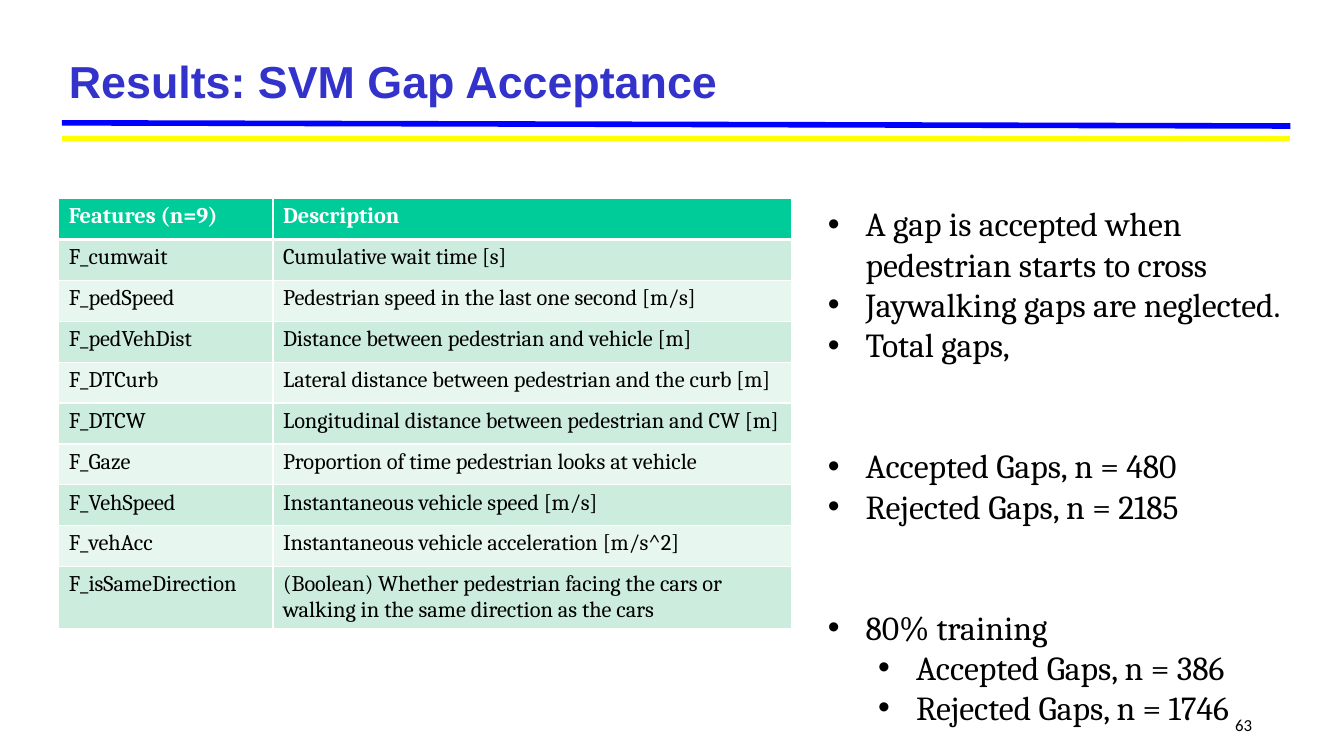
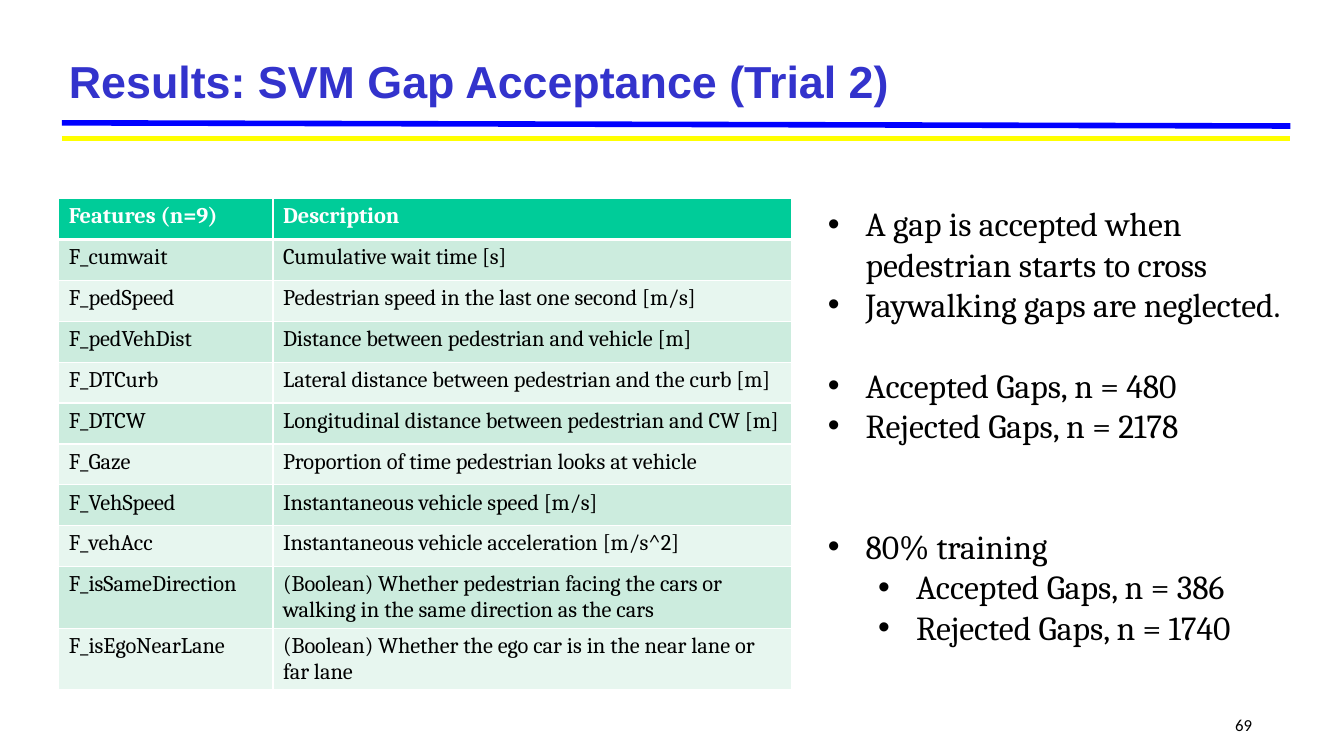
from lxml import etree
from pptx import Presentation
from pptx.dml.color import RGBColor
from pptx.enum.shapes import MSO_CONNECTOR
from pptx.enum.text import MSO_ANCHOR, MSO_AUTO_SIZE, PP_ALIGN
from pptx.oxml.ns import qn
from pptx.util import Emu, Pt

STRAIGHT = MSO_CONNECTOR.STRAIGHT
MIDDLE = MSO_ANCHOR.MIDDLE
NO_FIT, GROW = MSO_AUTO_SIZE.NONE, MSO_AUTO_SIZE.SHAPE_TO_FIT_TEXT
LEFT, RIGHT = PP_ALIGN.LEFT, PP_ALIGN.RIGHT

BLACK = RGBColor(0x00, 0x00, 0x00)
WHITE = RGBColor(0xFF, 0xFF, 0xFF)
TITLE_BLUE = RGBColor(0x33, 0x33, 0xCC)
RULE_BLUE = RGBColor(0x00, 0x00, 0xFF)
RULE_YELLOW = RGBColor(0xFF, 0xFF, 0x00)
HEADER_GREEN = RGBColor(0x00, 0xCC, 0x99)
BAND_GREENS = (RGBColor(0xCC, 0xEC, 0xDE), RGBColor(0xE7, 0xF6, 0xEF))

HEADER = ("Features (n=9)", "Description")
FEATURES = [
    ("F_cumwait", "Cumulative wait time [s]"),
    ("F_pedSpeed", "Pedestrian speed in the last one second [m/s]"),
    ("F_pedVehDist", "Distance between pedestrian and vehicle [m]"),
    ("F_DTCurb", "Lateral distance between pedestrian and the curb [m]"),
    ("F_DTCW", "Longitudinal distance between pedestrian and CW [m]"),
    ("F_Gaze", "Proportion of time pedestrian looks at vehicle"),
    ("F_VehSpeed", "Instantaneous vehicle speed [m/s]"),
    ("F_vehAcc", "Instantaneous vehicle acceleration [m/s^2]"),
    ("F_isSameDirection", "(Boolean) Whether pedestrian facing the cars or "
                          "walking in the same direction as the cars"),
]
EGO_LANE = ("F_isEgoNearLane",
            "(Boolean) Whether the ego car is in the near lane or far lane")

GAP_RULES = [
    ("A gap is accepted when pedestrian starts to cross", 0, 0),
    ("Jaywalking gaps are neglected.", 0, 0),
]
TRAINING = [("80% training", 0, 2), ("Accepted Gaps, n = 386", 1, 0)]

# Each bullet: text, level, lines of space before it
SLIDES = [
    {
        "title": "Results: SVM Gap Acceptance",
        "number": "63",
        "features": FEATURES,
        "bullets": GAP_RULES + [
            ("Total gaps,", 0, 0),
            ("Accepted Gaps, n = 480", 0, 2),
            ("Rejected Gaps, n = 2185", 0, 0),
        ] + TRAINING + [("Rejected Gaps, n = 1746", 1, 0)],
    },
    {
        "title": "Results: SVM Gap Acceptance (Trial 2)",
        "number": "69",
        "features": FEATURES + [EGO_LANE],
        "bullets": GAP_RULES + [
            ("Accepted Gaps, n = 480", 0, 1),
            ("Rejected Gaps, n = 2178", 0, 0),
        ] + TRAINING + [("Rejected Gaps, n = 1740", 1, 0)],
    },
]

SLIDE_SIZE = (1280, 720)
TITLE_BOX = (56, 48, 1173, 57)
RULES = [((59, 117), (1229, 120), RULE_BLUE), ((59, 132), (1229, 132), RULE_YELLOW)]
TABLE_LEFT, TABLE_TOP = 56, 189
COLUMN_WIDTHS = (204, 494)
ROW_HEIGHT = 39
BULLET_BOX = (779, 189, 471, 514)
BULLET_INDENT, LEVEL_INDENT = 36, 48
BULLET_SIZE = 24
LINE_SPACING = 1.2
NUMBER_BOX = (1162, 676, 40, 25)


def px(length):
    return Emu(length * 9525)


def write_text(paragraph, text, size, font="Cambria", color=BLACK, bold=False, align=LEFT):
    paragraph.alignment = align
    run = paragraph.add_run()
    run.text = text
    run.font.size = Pt(size)
    run.font.name = font
    run.font.bold = bold
    run.font.color.rgb = color


def add_title(slide, text):
    title = slide.shapes.title
    title.left, title.top, title.width, title.height = map(px, TITLE_BOX)
    frame = title.text_frame
    frame.auto_size = NO_FIT
    frame.vertical_anchor = MIDDLE
    write_text(frame.paragraphs[0], text, 32, font="Arial", color=TITLE_BLUE, bold=True)


def add_rules(slide):
    for start, end, color in RULES:
        rule = slide.shapes.add_connector(STRAIGHT, *map(px, start + end))
        rule.line.color.rgb = color
        rule.line.width = Pt(4)
        etree.SubElement(rule.element.spPr, qn("a:effectLst"))


def set_borders(cell, bottom_width):
    properties = cell._tc.get_or_add_tcPr()
    sides = (("a:lnL", 1), ("a:lnR", 1), ("a:lnT", 1), ("a:lnB", bottom_width))
    for position, (tag, width) in enumerate(sides):
        border = etree.Element(qn(tag), w=str(Pt(width)))
        fill = etree.SubElement(border, qn("a:solidFill"))
        etree.SubElement(fill, qn("a:srgbClr"), val=str(WHITE))
        properties.insert(position, border)


def add_feature_table(slide, features):
    rows = [HEADER] + features
    frame = slide.shapes.add_table(
        len(rows), len(HEADER), px(TABLE_LEFT), px(TABLE_TOP),
        px(sum(COLUMN_WIDTHS)), px(ROW_HEIGHT * len(rows)))
    table = frame.table
    for column, width in zip(table.columns, COLUMN_WIDTHS):
        column.width = px(width)
    for row_index, texts in enumerate(rows):
        table.rows[row_index].height = px(ROW_HEIGHT)
        is_header = row_index == 0
        for column_index, text in enumerate(texts):
            cell = table.cell(row_index, column_index)
            cell.fill.solid()
            cell.fill.fore_color.rgb = HEADER_GREEN if is_header else BAND_GREENS[(row_index - 1) % 2]
            set_borders(cell, 3 if is_header else 1)
            write_text(cell.text_frame.paragraphs[0], text, 16,
                       color=WHITE if is_header else BLACK, bold=is_header)


def add_text_box(slide, box):
    frame = slide.shapes.add_textbox(*map(px, box)).text_frame
    frame.word_wrap = True
    return frame


def add_bullets(slide, bullets):
    frame = add_text_box(slide, BULLET_BOX)
    frame.auto_size = GROW
    for index, (text, level, lines_before) in enumerate(bullets):
        paragraph = frame.add_paragraph() if index else frame.paragraphs[0]
        paragraph.level = level
        if lines_before:
            paragraph.space_before = Pt(lines_before * BULLET_SIZE * LINE_SPACING)
        properties = paragraph._p.get_or_add_pPr()
        properties.set("marL", str(px(BULLET_INDENT + level * LEVEL_INDENT)))
        properties.set("indent", str(px(-BULLET_INDENT)))
        etree.SubElement(properties, qn("a:buFont"), typeface="Arial")
        etree.SubElement(properties, qn("a:buChar"), char="•")
        write_text(paragraph, text, BULLET_SIZE)


def add_number(slide, number):
    frame = add_text_box(slide, NUMBER_BOX)
    write_text(frame.paragraphs[0], number, 12, font="Calibri", align=RIGHT)


def main():
    presentation = Presentation()
    presentation.slide_width, presentation.slide_height = map(px, SLIDE_SIZE)
    title_only = presentation.slide_layouts[5]
    for content in SLIDES:
        slide = presentation.slides.add_slide(title_only)
        add_rules(slide)
        add_title(slide, content["title"])
        add_feature_table(slide, content["features"])
        add_number(slide, content["number"])
        add_bullets(slide, content["bullets"])
    presentation.save("out.pptx")


if __name__ == "__main__":
    main()
